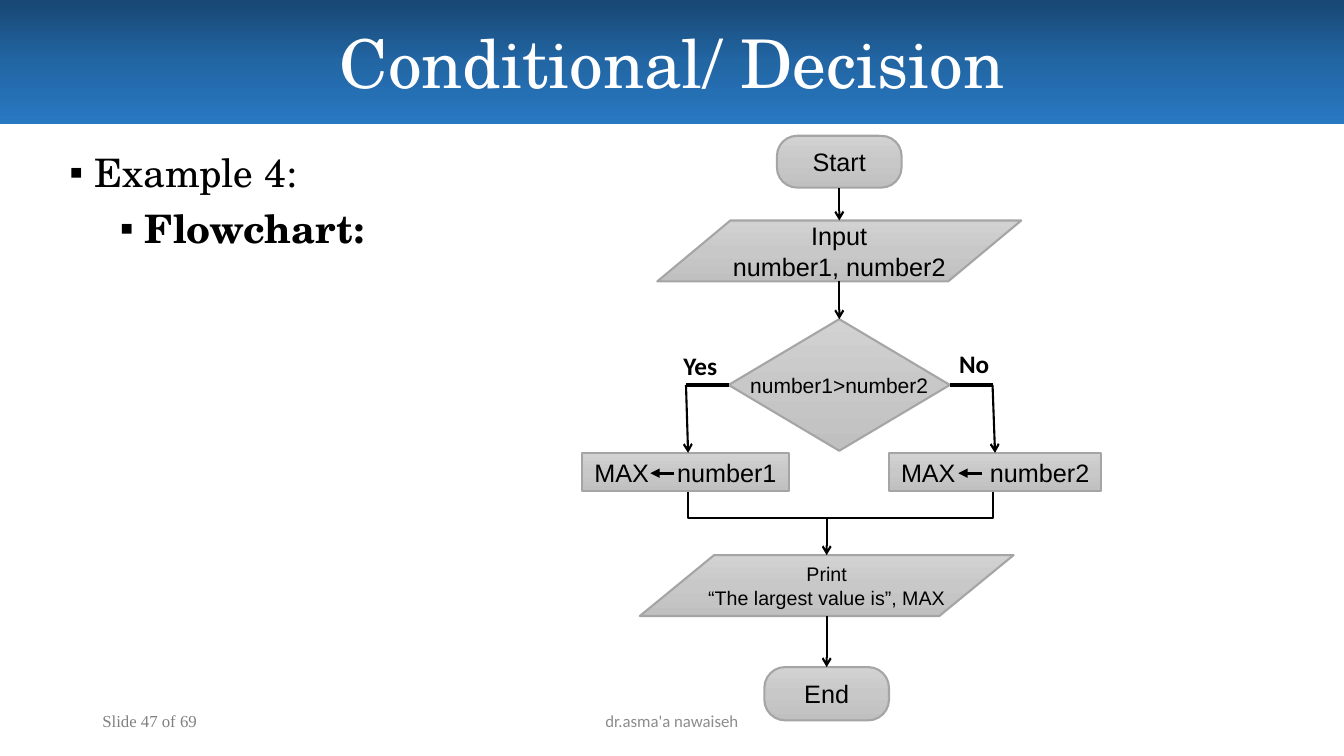
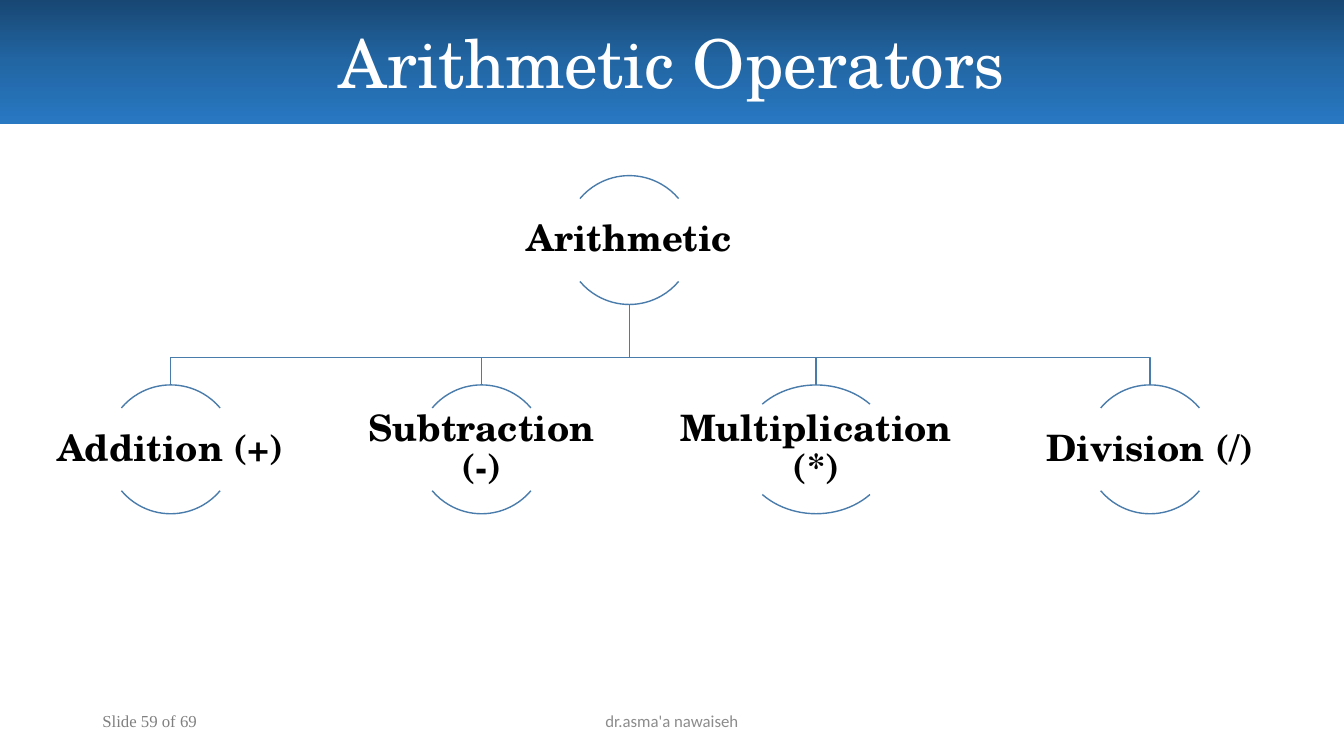
"""Build a flowchart slide and an operator tree slide."""
from dataclasses import dataclass

from lxml.etree import SubElement
from copy import deepcopy
from pptx import Presentation
from pptx.dml.color import RGBColor
from pptx.enum.shapes import MSO_CONNECTOR, MSO_SHAPE
from pptx.enum.text import MSO_ANCHOR, PP_ALIGN
from pptx.oxml.ns import qn
from pptx.util import Pt


@dataclass(frozen=True)
class Look:
    name: str
    size: float
    ink: str = "000000"
    bold: bool = False


@dataclass(frozen=True)
class Theme:
    band: tuple = ("184773", "2266A4", "2878C2")
    gray: tuple = ("D2D2D2", "C8C8C8", "C0C0C0")
    edge: str = "A5A5A5"
    flow: str = "000000"
    tree: str = "497CAB"
    mark: str = "Arial"
    title: Look = Look("TeX Gyre Schola", 48, "FFFFFF")
    body: Look = Look("TeX Gyre Schola", 28)
    strong: Look = Look("TeX Gyre Schola", 28, bold=True)
    leaf: Look = Look("TeX Gyre Schola", 26, bold=True)
    step: Look = Look("Arial", 18)
    test: Look = Look("Arial", 15)
    note: Look = Look("Arial", 14)
    label: Look = Look("Calibri", 18, bold=True)
    page: Look = Look("Times New Roman", 12, "808080")
    foot: Look = Look("Calibri", 12, "8C8C8C")


THEME = Theme()


def apply(item, **values):
    for key, value in values.items():
        setattr(item, key, value)


def write(par, text, look, **values):
    apply(par, **values)
    run = par.add_run()
    run.text = text
    apply(run.font, name=look.name, size=Pt(look.size), bold=look.bold)
    run.font.color.rgb = RGBColor.from_string(look.ink)


def frame(shape, wrap=True, pad=(7.2, 3.6), anchor=MSO_ANCHOR.MIDDLE):
    text = shape.text_frame
    side, top = map(Pt, pad)
    apply(text, word_wrap=wrap, vertical_anchor=anchor, margin_left=side,
          margin_right=side, margin_top=top, margin_bottom=top)
    return text


def fade(shape, inks):
    fill = shape.fill
    fill.gradient()
    fill.gradient_angle = 270
    stops = shape.element.spPr.find(qn("a:gradFill")).find(qn("a:gsLst"))
    stops.insert(1, deepcopy(stops[0]))
    for stop, ink, place in zip(fill.gradient_stops, inks, (0, 0.5, 1)):
        stop.color.rgb = RGBColor.from_string(ink)
        stop.position = place


def stroke(shape, ink, width):
    shape.line.color.rgb = RGBColor.from_string(ink)
    shape.line.width = Pt(width)


def box(slide, area, text, look, align=PP_ALIGN.LEFT, **values):
    shape = slide.shapes.add_textbox(*map(Pt, area))
    write(frame(shape, **values).paragraphs[0], text, look, alignment=align)
    return shape


def start(deck, title, page):
    slide = deck.slides.add_slide(deck.slide_layouts[5])
    head = slide.shapes.title
    apply(head, left=0, top=0, width=deck.slide_width, height=Pt(88.5))
    fade(head, THEME.band)
    write(frame(head).paragraphs[0], title, THEME.title, alignment=PP_ALIGN.CENTER)
    box(slide, (66, 500.4, 216, 28.8), f"Slide {page} of 69", THEME.page)
    box(slide, (318, 500.4, 324, 28.8), "dr.asma'a nawaiseh", THEME.foot,
        PP_ALIGN.CENTER)
    return slide


def points(slide, items):
    shape = slide.shapes.add_textbox(*map(Pt, (42.5, 106, 340, 114)))
    text = frame(shape, anchor=MSO_ANCHOR.TOP)
    for rank, (words, look) in enumerate(items):
        par = text.add_paragraph() if rank else text.paragraphs[0]
        props = par._p.get_or_add_pPr()
        for key, value in dict(marL=Pt(18 + 36 * rank), indent=-Pt(18)).items():
            props.set(key, str(value))
        SubElement(props, qn("a:buFont")).set("typeface", THEME.mark)
        SubElement(props, qn("a:buChar")).set("char", "▪")
        write(par, words, look, level=rank, line_spacing=0.9,
              space_before=Pt(10 * rank))


def node(slide, kind, area, lines, look, bend=None):
    shape = slide.shapes.add_shape(kind, *map(Pt, area))
    shape.shadow.inherit = False
    if bend is not None:
        shape.adjustments[0] = bend
    fade(shape, THEME.gray)
    stroke(shape, THEME.edge, 1.5)
    text = frame(shape, wrap=False, pad=(0, 0))
    for rank, line in enumerate(lines):
        par = text.add_paragraph() if rank else text.paragraphs[0]
        write(par, line, look, alignment=PP_ALIGN.CENTER)
    return shape


def assign(slide, area, name, stop):
    shape = node(slide, MSO_SHAPE.RECTANGLE, area, (), THEME.step)
    text = frame(shape, pad=(8.6, 0))
    text.margin_right = 0
    par = text.paragraphs[0]
    tabs = SubElement(par._p.get_or_add_pPr(), qn("a:tabLst"))
    tab = SubElement(tabs, qn("a:tab"))
    for key, value in dict(pos=Pt(stop), algn="l").items():
        tab.set(key, str(value))
    write(par, f"MAX\t{name}", THEME.step, alignment=PP_ALIGN.LEFT)
    return shape


def link(slide, ends, width=1.5, tip="arrow", first=None, last=None):
    line = slide.shapes.add_connector(MSO_CONNECTOR.STRAIGHT, *map(Pt, ends))
    if first:
        line.begin_connect(*first)
    if last:
        line.end_connect(*last)
    stroke(line, THEME.flow, width)
    props = line.element.spPr
    if tip:
        SubElement(props.find(qn("a:ln")), qn("a:tailEnd")).set("type", tip)
    SubElement(props, qn("a:effectLst"))


def trace(slide, spots, ink, width):
    (left, top), *rest = [tuple(map(Pt, spot)) for spot in spots]
    form = slide.shapes.build_freeform(left, top)
    form.add_line_segments(rest, close=False)
    shape = form.convert_to_shape()
    shape.shadow.inherit = False
    shape.fill.background()
    stroke(shape, ink, width)


def leaf(slide, text, mid, top, width):
    tall, high = 92, 59
    for sweep in ((132, 192), (24, 84)):
        arc = slide.shapes.add_shape(
            MSO_SHAPE.ARC, *map(Pt, (mid - width / 2, top, width, tall)))
        arc.shadow.inherit = False
        arc.adjustments[0], arc.adjustments[1] = sweep
        arc.fill.background()
        stroke(arc, THEME.tree, 1)
    area = mid - width, top + (tall - high) / 2, 2 * width, high
    shape = box(slide, area, text, THEME.leaf, PP_ALIGN.CENTER, pad=(1.4, 1.4))
    shape.text_frame.paragraphs[0].line_spacing = 0.9


def chart(deck):
    slide = start(deck, "Conditional/ Decision", 47)
    points(slide, (("Example 4:", THEME.body), ("Flowchart:", THEME.strong)))
    main, low, yes, no = 599.5, 590.5, 491.5, 709
    pill, slant = MSO_SHAPE.ROUNDED_RECTANGLE, MSO_SHAPE.PARALLELOGRAM
    trace(slide, ((yes, 351), (yes, 370), (no, 370), (no, 351)), THEME.flow, 1.5)
    begin = node(slide, pill, (main - 44.5, 97, 89, 37), ["Start"], THEME.step, 0.39)
    node(slide, slant, (main - 130, 157.5, 260, 43.5),
         ["Input", "number1, number2"], THEME.step, 1.2)
    test = node(slide, MSO_SHAPE.DIAMOND, (main - 79, 228, 158, 94),
                ["number1>number2"], THEME.test)
    assign(slide, (416, 323.5, 147.5, 27.5), "number1", 59)
    other = assign(slide, (635, 323.5, 151.5, 27.5), "number2", 63.5)
    node(slide, slant, (low - 133.5, 396.5, 267, 43.5),
         ["Print", "“The largest value is”, MAX"], THEME.note, 1.22)
    end = node(slide, pill, (low - 44.5, 476.5, 89, 38), ["End"], THEME.step, 0.39)

    link(slide, (main, 134, main, 157.5), first=(begin, 2))
    link(slide, (main, 201, main, 228), last=(test, 0))
    link(slide, (low, 370, low, 396.5))
    link(slide, (low, 440, low, 476.5), last=(end, 0))
    link(slide, (main - 79, 275, 490, 275), 2.25, None, first=(test, 1))
    link(slide, (main + 79, 275, no, 275), 2.25, None, first=(test, 3))
    link(slide, (490, 275, yes, 323.5))
    link(slide, (no, 275, 710.5, 323.5), last=(other, 0))
    for right in (481.5, 701.5):
        link(slide, (right, 338, right - 17, 338), 2.25, "triangle")
    for text, area in (("Yes", (481, 247, 39, 29)), ("No", (678, 245.5, 36, 29))):
        box(slide, area, text, THEME.label, wrap=False, anchor=MSO_ANCHOR.TOP)


def tree(deck):
    slide = start(deck, "Arithmetic Operators", 59)
    root, top, row = 449.5, 125.5, 275
    bend = 255.5
    leaves = (("Addition (+)", 122, 92), ("Subtraction (-)", 344, 92),
              ("Multiplication (*)", 583, 108), ("Division (/)", 821.5, 92))
    for text, mid, width in leaves:
        trace(slide, ((root, top + 92), (root, bend), (mid, bend), (mid, row)),
              THEME.tree, 1)
        leaf(slide, text, mid, row, width)
    leaf(slide, "Arithmetic", root, top, 92)


def main():
    deck = Presentation()
    apply(deck, slide_width=Pt(960), slide_height=Pt(540))
    chart(deck)
    tree(deck)
    deck.save("out.pptx")


if __name__ == "__main__":
    main()
